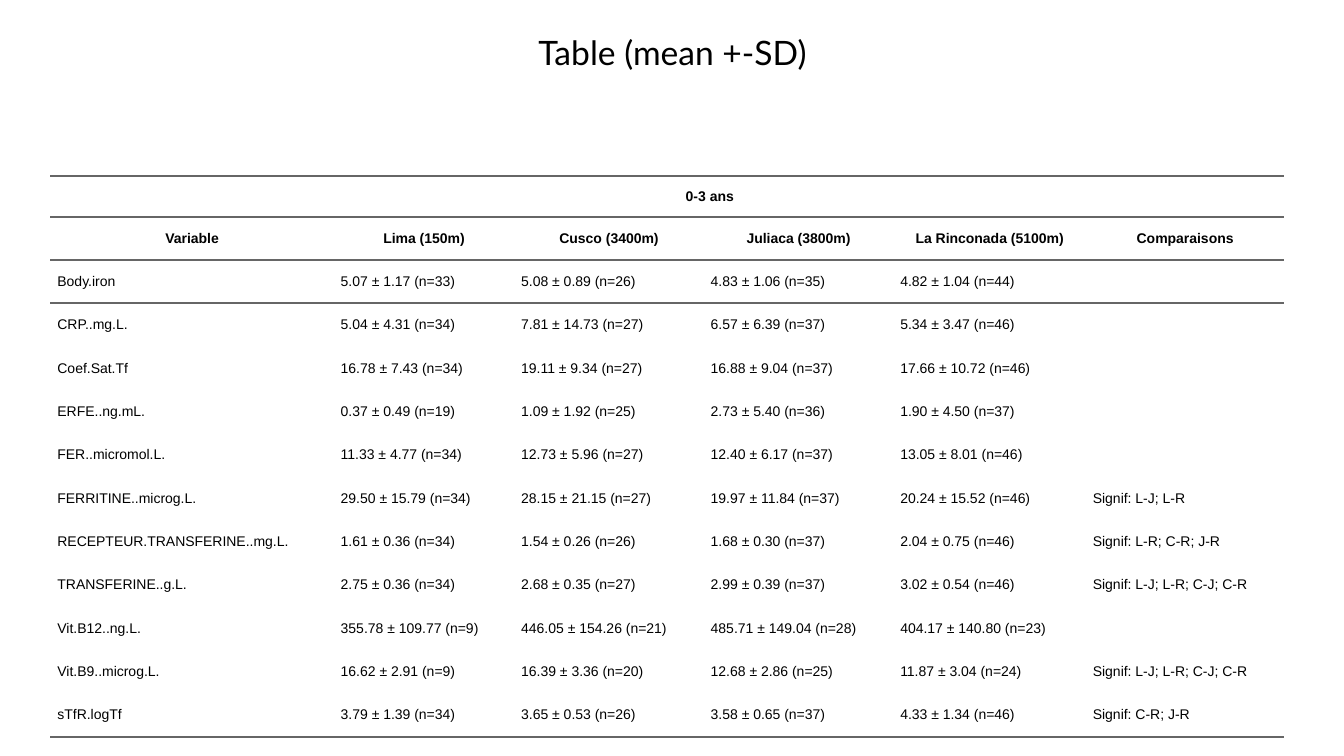
from lxml import etree
from pptx import Presentation
from pptx.dml.color import RGBColor
from pptx.enum.text import MSO_ANCHOR, PP_ALIGN
from pptx.oxml.ns import qn
from pptx.util import Inches, Pt

LEFT, CENTER = PP_ALIGN.LEFT, PP_ALIGN.CENTER
MIDDLE = MSO_ANCHOR.MIDDLE
BLACK = RGBColor(0x00, 0x00, 0x00)
GREY = RGBColor(0x66, 0x66, 0x66)
NO_STYLE = "{2D5ABB26-0587-4C30-8999-92F81FD0307C}"

TITLE = "Table (mean +-SD)"
GROUP = "0-3 ans"
HEADS = ["Variable", "Lima (150m)", "Cusco (3400m)", "Juliaca (3800m)",
         "La Rinconada (5100m)", "Comparaisons"]
DATA = [
    ("Body.iron", "5.07 ± 1.17 (n=33)", "5.08 ± 0.89 (n=26)",
     "4.83 ± 1.06 (n=35)", "4.82 ± 1.04 (n=44)", ""),
    ("CRP..mg.L.", "5.04 ± 4.31 (n=34)", "7.81 ± 14.73 (n=27)",
     "6.57 ± 6.39 (n=37)", "5.34 ± 3.47 (n=46)", ""),
    ("Coef.Sat.Tf", "16.78 ± 7.43 (n=34)", "19.11 ± 9.34 (n=27)",
     "16.88 ± 9.04 (n=37)", "17.66 ± 10.72 (n=46)", ""),
    ("ERFE..ng.mL.", "0.37 ± 0.49 (n=19)", "1.09 ± 1.92 (n=25)",
     "2.73 ± 5.40 (n=36)", "1.90 ± 4.50 (n=37)", ""),
    ("FER..micromol.L.", "11.33 ± 4.77 (n=34)", "12.73 ± 5.96 (n=27)",
     "12.40 ± 6.17 (n=37)", "13.05 ± 8.01 (n=46)", ""),
    ("FERRITINE..microg.L.", "29.50 ± 15.79 (n=34)", "28.15 ± 21.15 (n=27)",
     "19.97 ± 11.84 (n=37)", "20.24 ± 15.52 (n=46)", "Signif: L-J; L-R"),
    ("RECEPTEUR.TRANSFERINE..mg.L.", "1.61 ± 0.36 (n=34)", "1.54 ± 0.26 (n=26)",
     "1.68 ± 0.30 (n=37)", "2.04 ± 0.75 (n=46)", "Signif: L-R; C-R; J-R"),
    ("TRANSFERINE..g.L.", "2.75 ± 0.36 (n=34)", "2.68 ± 0.35 (n=27)",
     "2.99 ± 0.39 (n=37)", "3.02 ± 0.54 (n=46)", "Signif: L-J; L-R; C-J; C-R"),
    ("Vit.B12..ng.L.", "355.78 ± 109.77 (n=9)", "446.05 ± 154.26 (n=21)",
     "485.71 ± 149.04 (n=28)", "404.17 ± 140.80 (n=23)", ""),
    ("Vit.B9..microg.L.", "16.62 ± 2.91 (n=9)", "16.39 ± 3.36 (n=20)",
     "12.68 ± 2.86 (n=25)", "11.87 ± 3.04 (n=24)", "Signif: L-J; L-R; C-J; C-R"),
    ("sTfR.logTf", "3.79 ± 1.39 (n=34)", "3.65 ± 0.53 (n=26)",
     "3.58 ± 0.65 (n=37)", "4.33 ± 1.34 (n=46)", "Signif: C-R; J-R"),
]
ROWS = [("", GROUP, "", "", "", ""), HEADS, *DATA]
WIDTHS = [2.81, 1.79, 1.88, 1.88, 1.91, 1.97]
HEIGHTS = [0.4] + [0.43] * (len(ROWS) - 1)
RULES = {0, 1, 2, len(ROWS)}  # row edges that carry a line

TITLE_FONT = {"name": "Lato", "size": Pt(24)}
CELL_FONT = {"name": "Arial", "size": Pt(10)}
CELL_BOX = {"margin_left": Inches(0.07), "margin_right": Inches(0.07),
            "margin_top": 0, "margin_bottom": 0, "vertical_anchor": MIDDLE}


def apply(target, values):
    for key, value in values.items():
        setattr(target, key, value)


def write(para, text, align, font):
    para.alignment = align
    if text:
        run = para.add_run()
        run.text = text
        apply(run.font, font)
        run.font.color.rgb = BLACK


def rule(cell, tag):
    """Draw a grey line on the cell edge named by tag."""
    line = etree.SubElement(cell._tc.get_or_add_tcPr(), qn(tag), w=str(Pt(1.5)))
    fill = etree.SubElement(line, qn("a:solidFill"))
    etree.SubElement(fill, qn("a:srgbClr"), val=str(GREY))


def add_title(slide):
    box = slide.shapes.add_textbox(
        Inches(0.46), Inches(-0.18), Inches(12.42), Inches(1.45))
    frame = box.text_frame
    frame.word_wrap = True
    frame.vertical_anchor = MIDDLE
    para = frame.paragraphs[0]
    para.line_spacing = 0.9
    write(para, TITLE, CENTER, TITLE_FONT)


def add_grid(slide):
    frame = slide.shapes.add_table(
        len(ROWS), len(WIDTHS), Inches(0.5), Inches(1.75),
        Inches(sum(WIDTHS)), Inches(sum(HEIGHTS)))
    table = frame.table
    table._tbl.tblPr.find(qn("a:tableStyleId")).text = NO_STYLE
    table.first_row = table.horz_banding = False
    for col, width in zip(table.columns, WIDTHS):
        col.width = Inches(width)
    for row, height in zip(table.rows, HEIGHTS):
        row.height = Inches(height)
    table.cell(0, 1).merge(table.cell(0, 4))
    for r, texts in enumerate(ROWS):
        head = r < 2
        for c, text in enumerate(texts):
            cell = table.cell(r, c)
            apply(cell, CELL_BOX)
            for edge, tag in ((r, "a:lnT"), (r + 1, "a:lnB")):
                if edge in RULES:
                    rule(cell, tag)
            cell.fill.background()
            write(cell.text_frame.paragraphs[0], text,
                  CENTER if head else LEFT, {**CELL_FONT, "bold": head})


def main():
    deck = Presentation()
    deck.slide_width, deck.slide_height = Inches(13.33), Inches(7.5)
    slide = deck.slides.add_slide(deck.slide_layouts[6])
    add_title(slide)
    add_grid(slide)
    deck.save("out.pptx")


if __name__ == "__main__":
    main()
